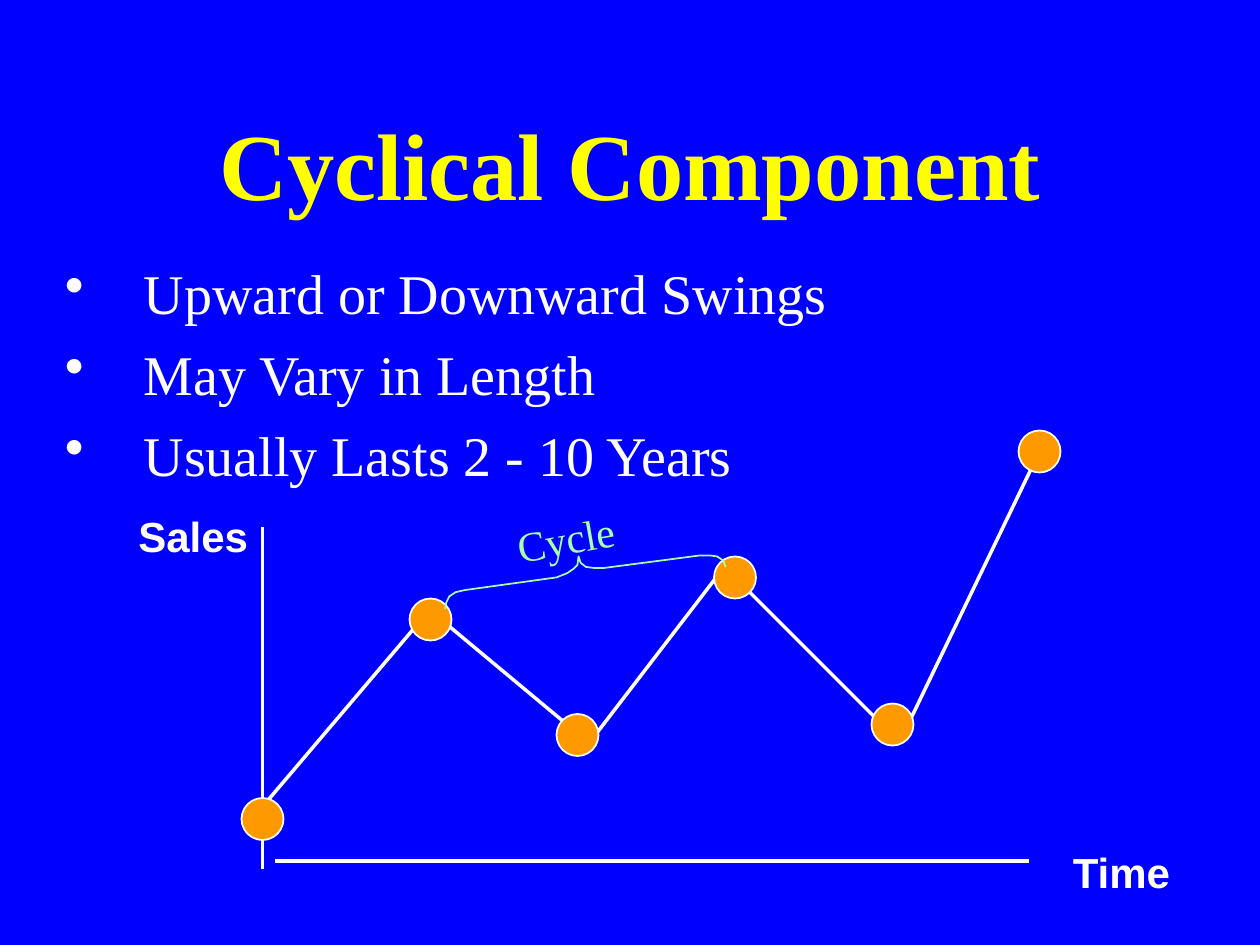
"""Build the Cyclical Component slide with its hand-drawn sales cycle."""
import dataclasses
import typing

import lxml.etree
import pptx
import pptx.dml.color
import pptx.enum.shapes
import pptx.enum.text
import pptx.oxml.ns
import pptx.util

PX = 7620
Point = tuple[int, int]
Align = pptx.enum.text.PP_ALIGN
Anchor = pptx.enum.text.MSO_ANCHOR


@dataclasses.dataclass(frozen=True)
class Theme:
    back: str = "0000FF"
    title: str = "FFFF00"
    text: str = "FFFFFF"
    dot: str = "FF9900"
    cycle: str = "A7FFA7"
    serif: str = "Times New Roman"
    sans: str = "Arial"
    big: int = 54
    body: int = 32
    small: int = 24
    thick: int = 2
    thin: int = 1


class Line(typing.NamedTuple):
    start: Point
    end: Point


@dataclasses.dataclass(frozen=True)
class Label:
    lines: tuple[str, ...]
    left: int
    top: int
    width: int
    height: int
    size: int
    font: str
    color: str
    bold: bool = False
    align: Align = Align.LEFT
    anchor: Anchor = Anchor.TOP
    turn: int = 0
    bullet: bool = False


THEME = Theme()
DOT = 40
AXES = (Line((250, 502), (250, 828)), Line((262, 820), (980, 820)))
SWINGS = (
    Line((240, 780), (410, 580)),
    Line((420, 590), (540, 690)),
    Line((560, 709), (689, 541)),
    Line((712, 562), (840, 690)),
    Line((860, 700), (990, 430)),
)
DOTS = ((250, 780), (410, 590), (550, 700), (700, 550), (850, 690), (990, 430))
BRACE = (
    (691, 540), (689, 534), (683, 530), (676, 529), (667, 529),
    (575, 541), (566, 541), (558, 540), (553, 536), (551, 530),
    (550, 538), (546, 542), (540, 546), (530, 550), (443, 562),
    (434, 564), (428, 568), (425, 574), (424, 580),
)
TITLE = Label(("Cyclical Component",), 90, 80, 1020, 150, THEME.big, THEME.serif,
              THEME.title, bold=True, align=Align.CENTER, anchor=Anchor.MIDDLE)
POINTS = Label(
    ("Upward or Downward Swings", "May Vary in Length", "Usually Lasts 2 - 10 Years"),
    50, 240, 1150, 540, THEME.body, THEME.serif, THEME.text, bullet=True)
SALES = Label(("Sales",), 120, 480, 190, 60, THEME.small, THEME.sans, THEME.text, bold=True)
TIME = Label(("Time",), 1010, 800, 190, 60, THEME.small, THEME.sans, THEME.text, bold=True)
CYCLE = Label(("Cycle",), 480, 480, 150, 60, THEME.small, THEME.serif, THEME.cycle, turn=350)


def px(count: int) -> pptx.util.Emu:
    """Turn whole px into EMU."""
    return pptx.util.Emu(count * PX)


def rgb(code: str) -> pptx.dml.color.RGBColor:
    """Read a colour from its hex code."""
    return pptx.dml.color.RGBColor.from_string(code)


def set_line(shape: typing.Any, color: str, width: int) -> None:
    """Set the colour and width of an outline."""
    shape.line.color.rgb = rgb(color)
    shape.line.width = pptx.util.Pt(width)


def add_bullet(para: typing.Any) -> None:
    """Give a paragraph a hanging round bullet."""
    para.space_before = pptx.util.Pt(8)
    props = para._p.get_or_add_pPr()
    props.set("marL", str(px(75)))
    props.set("indent", str(px(-75)))
    name = pptx.oxml.ns.qn
    tint = lxml.etree.SubElement(props, name("a:buClr"))
    lxml.etree.SubElement(tint, name("a:srgbClr"), val=THEME.text)
    lxml.etree.SubElement(props, name("a:buChar"), char="•")


def add_label(slide: typing.Any, label: Label) -> None:
    """Draw a text box with one paragraph a line."""
    box = slide.shapes.add_textbox(*map(px, (label.left, label.top, label.width, label.height)))
    box.rotation = label.turn
    frame = box.text_frame
    frame.word_wrap = True
    frame.vertical_anchor = label.anchor
    frame.text = "\n".join(label.lines)
    for para in frame.paragraphs:
        para.alignment = label.align
        if label.bullet:
            add_bullet(para)
        para.font.name = label.font
        para.font.size = pptx.util.Pt(label.size)
        para.font.bold = label.bold
        para.font.color.rgb = rgb(label.color)


def add_line(slide: typing.Any, line: Line) -> None:
    """Draw a straight white line."""
    kind = pptx.enum.shapes.MSO_CONNECTOR.STRAIGHT
    shape = slide.shapes.add_connector(kind, *map(px, line.start + line.end))
    set_line(shape, THEME.text, THEME.thick)
    lxml.etree.SubElement(shape._element.spPr, pptx.oxml.ns.qn("a:effectLst"))


def add_dot(slide: typing.Any, mid: Point) -> None:
    """Draw a round marker about its middle."""
    left, top = (px(side - DOT // 2) for side in mid)
    kind = pptx.enum.shapes.MSO_SHAPE.OVAL
    shape = slide.shapes.add_shape(kind, left, top, px(DOT), px(DOT))
    shape.shadow.inherit = False
    shape.fill.solid()
    shape.fill.fore_color.rgb = rgb(THEME.dot)
    set_line(shape, THEME.text, THEME.thin)


def add_brace(slide: typing.Any, path: tuple[Point, ...]) -> None:
    """Draw the open brace that spans one cycle."""
    pen = slide.shapes.build_freeform(*path[0], scale=PX)
    pen.add_line_segments(path[1:], close=False)
    shape = pen.convert_to_shape()
    shape.shadow.inherit = False
    shape.fill.background()
    set_line(shape, THEME.cycle, THEME.thin)


def main() -> None:
    """Build and save the slide."""
    deck = pptx.Presentation()
    deck.slide_width, deck.slide_height = px(1200), px(900)
    slide = deck.slides.add_slide(deck.slide_layouts[6])
    slide.background.fill.solid()
    slide.background.fill.fore_color.rgb = rgb(THEME.back)
    for label in (TITLE, POINTS, SALES, TIME):
        add_label(slide, label)
    for line in AXES + SWINGS:
        add_line(slide, line)
    for mid in DOTS:
        add_dot(slide, mid)
    add_brace(slide, BRACE)
    add_label(slide, CYCLE)
    deck.save("out.pptx")


if __name__ == "__main__":
    main()
